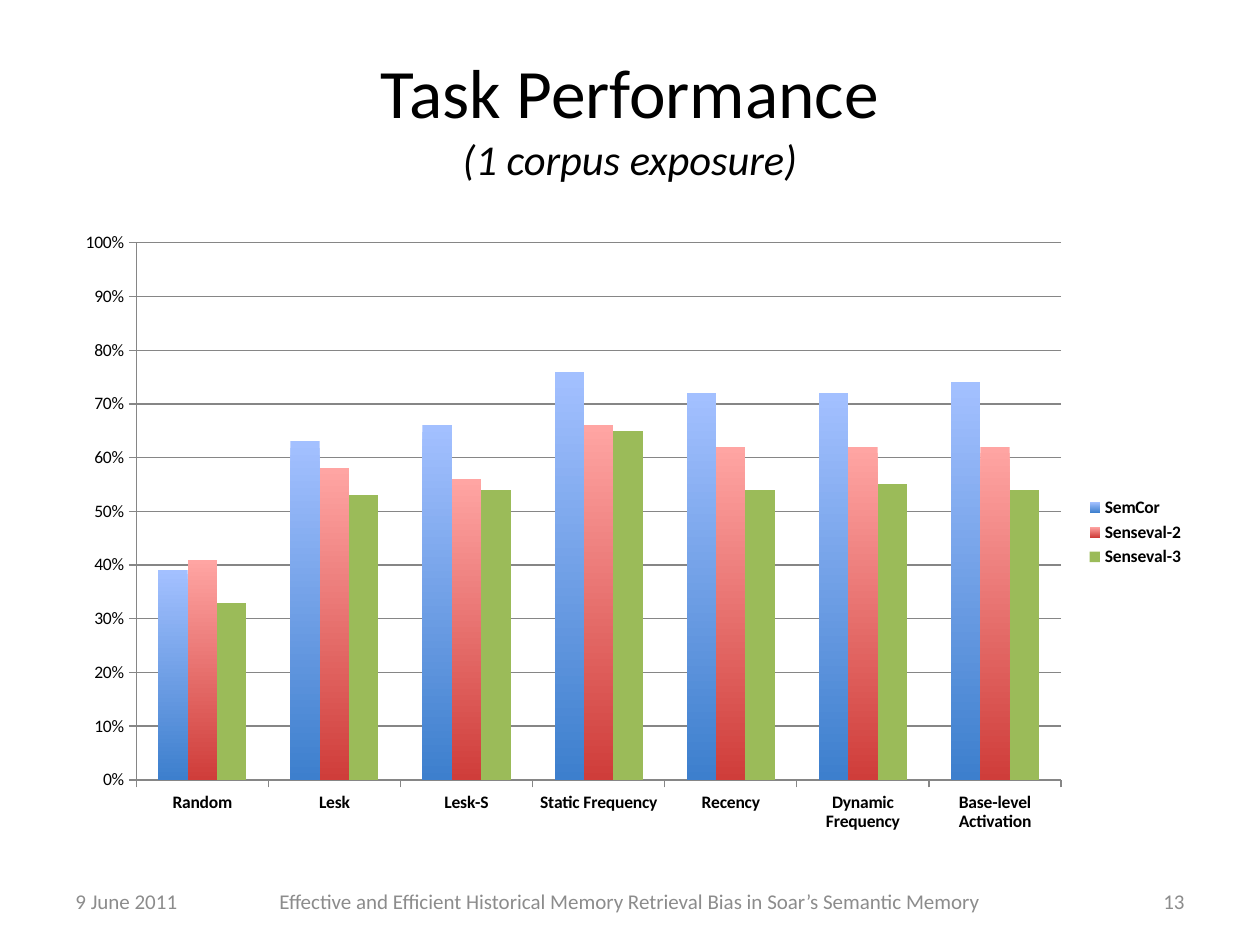
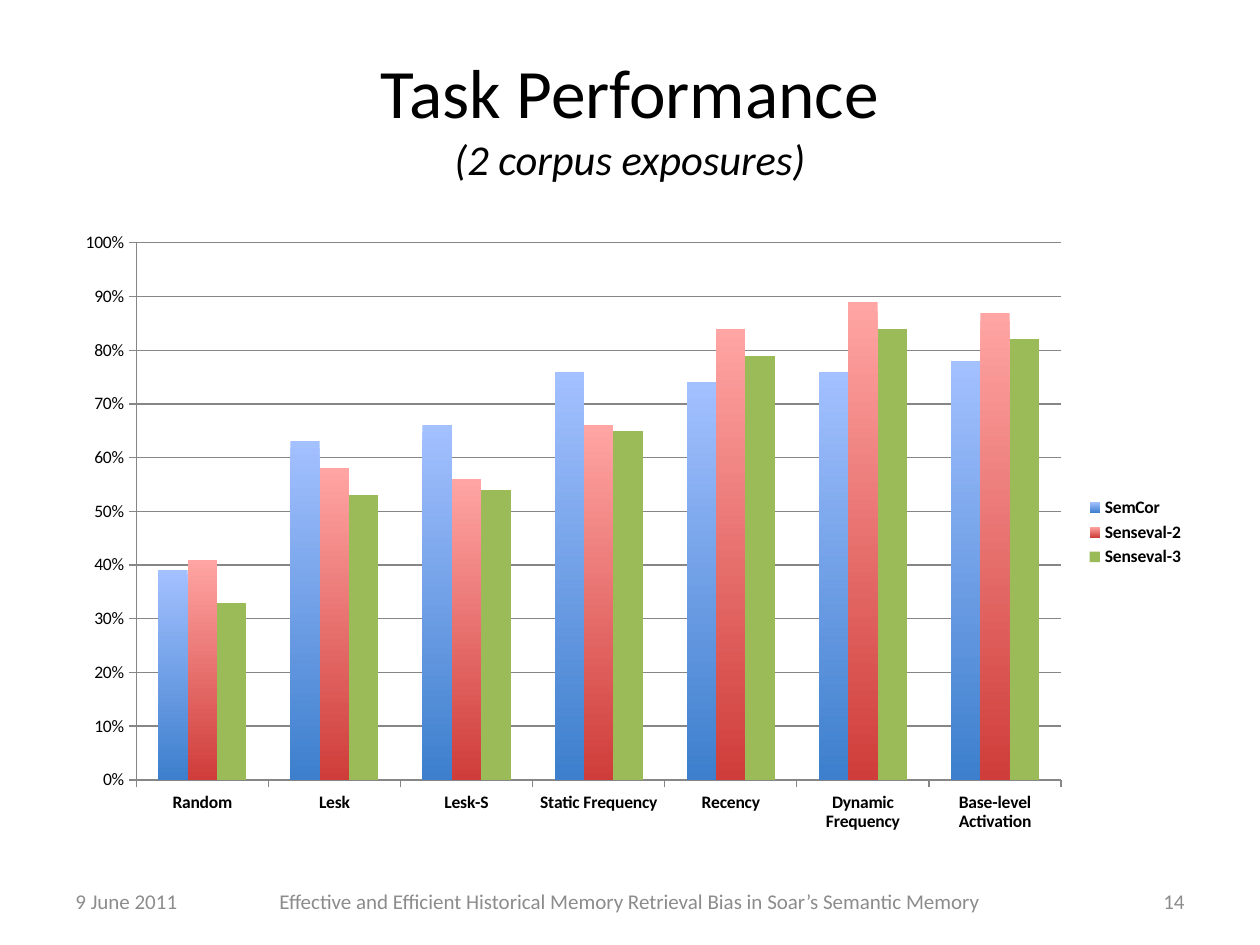
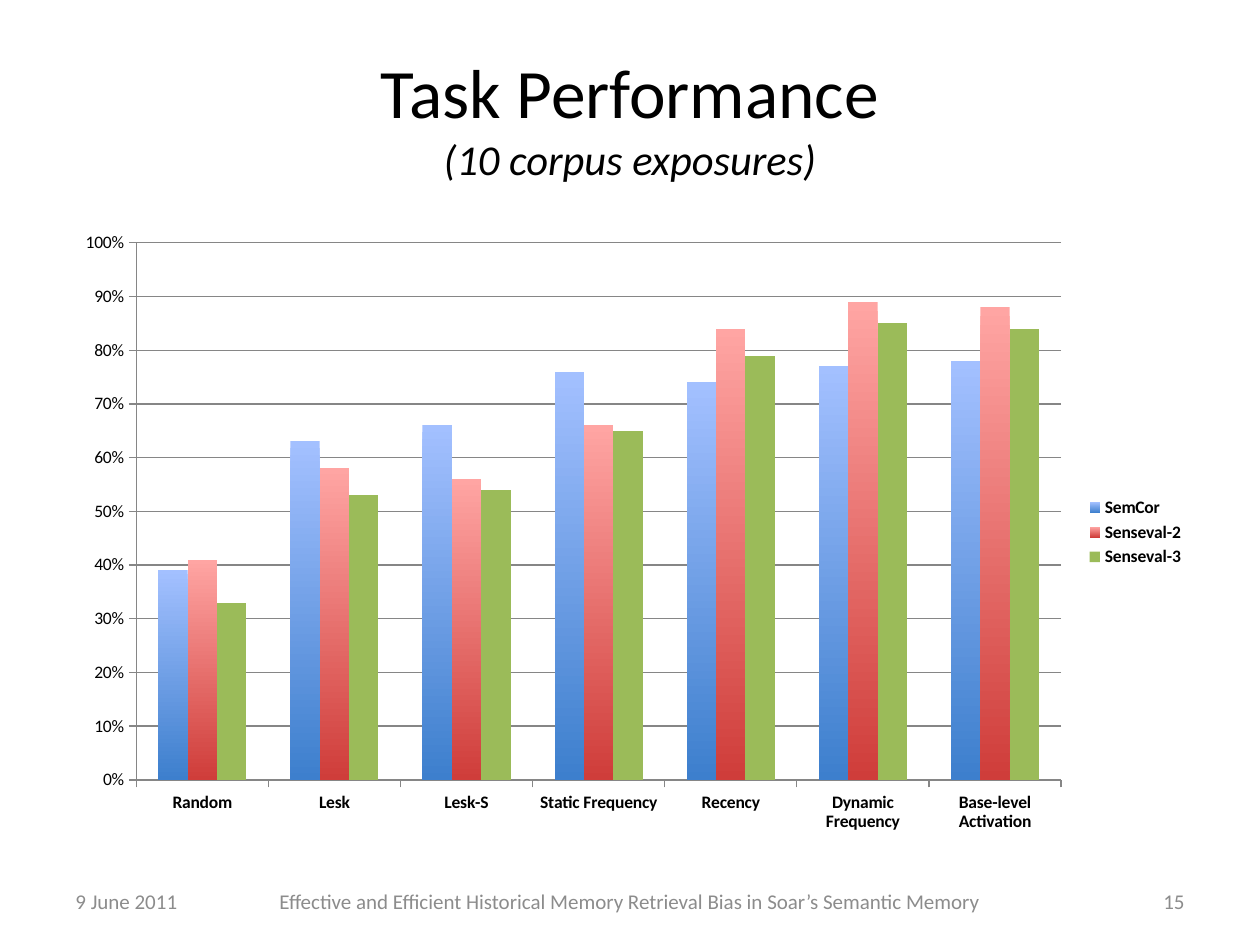
import pptx
import pptx.chart.data
import pptx.dml.color
import pptx.enum.chart
import pptx.enum.text
import pptx.util

Pt = pptx.util.Pt
ALIGN = pptx.enum.text.PP_ALIGN
TICK = pptx.enum.chart.XL_TICK_MARK

# Shared style
FONT = "Calibri"
BLACK, FOOTER_GREY, AXIS_GREY = "000000", "8C8C8C", "868686"
TITLE_BOX = (36, 21.6, 648, 90)
CHART_BOX = (36, 126, 648, 356.4)
FOOTER_BOX = (36, 500.4, 648, 28.8)
DATE = "9 June 2011"
TALK = "Effective and Efficient Historical Memory Retrieval Bias in Soar’s Semantic Memory"
FIRST_PAGE = 13

# Bar colours: two for a gradient from top to bottom, one for a plain fill
SERIES_COLOURS = {
    "SemCor": ("A3C0FF", "3D7FCD"),
    "Senseval-2": ("FFA5A3", "CF3D3A"),
    "Senseval-3": ("9BBB59",),
}
METHODS = ["Random", "Lesk", "Lesk-S", "Static Frequency",
           "Recency", "Dynamic Frequency", "Base-level Activation"]

# The first four methods score the same whatever the exposure
FIXED_SCORES = {
    "SemCor": (0.39, 0.63, 0.66, 0.76),
    "Senseval-2": (0.41, 0.58, 0.56, 0.66),
    "Senseval-3": (0.33, 0.53, 0.54, 0.65),
}
EXPOSURES = [
    ("(1 corpus exposure)", {"SemCor": (0.72, 0.72, 0.74),
                             "Senseval-2": (0.62, 0.62, 0.62),
                             "Senseval-3": (0.54, 0.55, 0.54)}),
    ("(2 corpus exposures)", {"SemCor": (0.74, 0.76, 0.78),
                              "Senseval-2": (0.84, 0.89, 0.87),
                              "Senseval-3": (0.79, 0.84, 0.82)}),
    ("(10 corpus exposures)", {"SemCor": (0.74, 0.77, 0.78),
                               "Senseval-2": (0.84, 0.89, 0.88),
                               "Senseval-3": (0.79, 0.85, 0.84)}),
]


def colour(value):
    return pptx.dml.color.RGBColor.from_string(value)


def set_font(font, size, value, bold=False, italic=False):
    font.name, font.size = FONT, Pt(size)
    font.bold, font.italic = bold, italic
    font.color.rgb = colour(value)


def add_span(para, text, size, value, italic=False):
    span = para.add_run()
    span.text = text
    set_font(span.font, size, value, italic=italic)


def add_title(page, box, subtitle):
    title = page.shapes.title
    title.left, title.top, title.width, title.height = map(Pt, box)
    frame = title.text_frame
    frame.auto_size = pptx.enum.text.MSO_AUTO_SIZE.NONE
    frame.vertical_anchor = pptx.enum.text.MSO_ANCHOR.MIDDLE
    para = frame.paragraphs[0]
    para.alignment = ALIGN.CENTER
    add_span(para, "Task Performance", 39.6, BLACK)
    para.add_line_break()
    add_span(para, subtitle, 24.3, BLACK, italic=True)


def add_footer(page, box, number):
    left, top, width, height = box
    side, middle = 168, 444
    parts = [
        (DATE, left, side, ALIGN.LEFT),
        (TALK, left + (width - middle) / 2, middle, ALIGN.CENTER),
        (str(number), left + width - side, side, ALIGN.RIGHT),
    ]
    for text, part_left, part_width, alignment in parts:
        label = page.shapes.add_textbox(Pt(part_left), Pt(top), Pt(part_width), Pt(height))
        frame = label.text_frame
        frame.word_wrap = True
        frame.vertical_anchor = pptx.enum.text.MSO_ANCHOR.MIDDLE
        para = frame.paragraphs[0]
        para.alignment = alignment
        add_span(para, text, 12, FOOTER_GREY)


def fill_bars(fill, colours):
    if len(colours) == 1:
        fill.solid()
        fill.fore_color.rgb = colour(colours[0])
        return
    fill.gradient()
    fill.gradient_angle = 270
    for stop, value in zip(fill.gradient_stops, colours):
        stop.color.rgb = colour(value)


def style_line(line):
    line.color.rgb = colour(AXIS_GREY)
    line.width = Pt(0.75)


def style_axis(axis, bold):
    axis.major_tick_mark = TICK.OUTSIDE
    axis.minor_tick_mark = TICK.NONE
    style_line(axis.format.line)
    set_font(axis.tick_labels.font, 10, BLACK, bold=bold)


def add_score_chart(page, box, scores):
    data = pptx.chart.data.CategoryChartData(number_format="0%")
    data.categories = METHODS
    for name, fixed in FIXED_SCORES.items():
        data.add_series(name, fixed + scores[name])
    chart = page.shapes.add_chart(
        pptx.enum.chart.XL_CHART_TYPE.COLUMN_CLUSTERED, *map(Pt, box), data).chart
    chart.has_title = False
    set_font(chart.font, 10, BLACK)

    # Bars
    plot = chart.plots[0]
    plot.gap_width, plot.overlap = 150, 0
    plot.vary_by_categories = False
    for series in plot.series:
        fill_bars(series.format.fill, SERIES_COLOURS[series.name])

    # Axes
    style_axis(chart.category_axis, bold=True)
    scale = chart.value_axis
    style_axis(scale, bold=False)
    scale.minimum_scale, scale.maximum_scale, scale.major_unit = 0, 1, 0.1
    scale.tick_labels.number_format = "0%"
    scale.tick_labels.number_format_is_linked = False
    scale.has_major_gridlines = True
    style_line(scale.major_gridlines.format.line)

    # Legend
    chart.has_legend = True
    chart.legend.position = pptx.enum.chart.XL_LEGEND_POSITION.RIGHT
    chart.legend.include_in_layout = False
    set_font(chart.legend.font, 10, BLACK, bold=True)


def add_performance_page(deck, number, subtitle, scores):
    page = deck.slides.add_slide(deck.slide_layouts.get_by_name("Title Only"))
    add_title(page, TITLE_BOX, subtitle)
    add_score_chart(page, CHART_BOX, scores)
    add_footer(page, FOOTER_BOX, number)


def main():
    deck = pptx.Presentation()
    deck.slide_width, deck.slide_height = Pt(720), Pt(540)
    for number, (subtitle, scores) in enumerate(EXPOSURES, FIRST_PAGE):
        add_performance_page(deck, number, subtitle, scores)
    deck.save("out.pptx")


if __name__ == "__main__":
    main()
